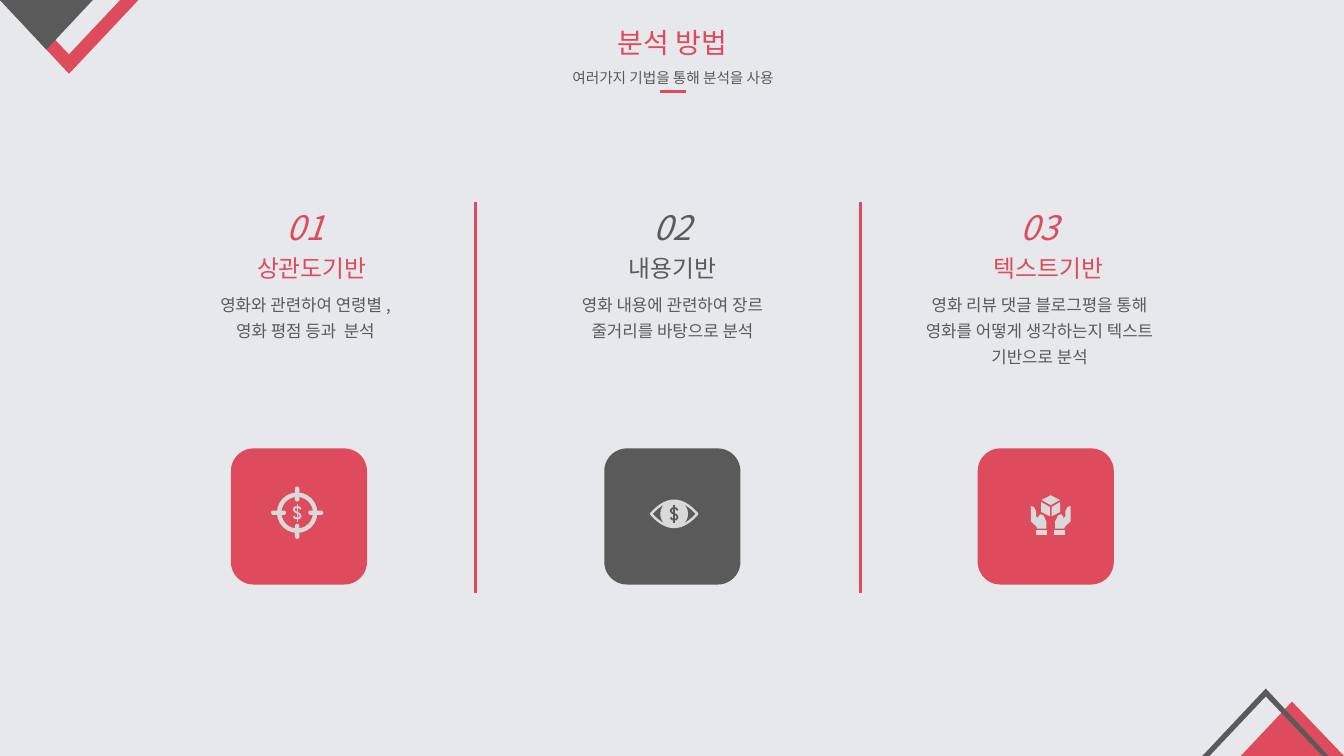
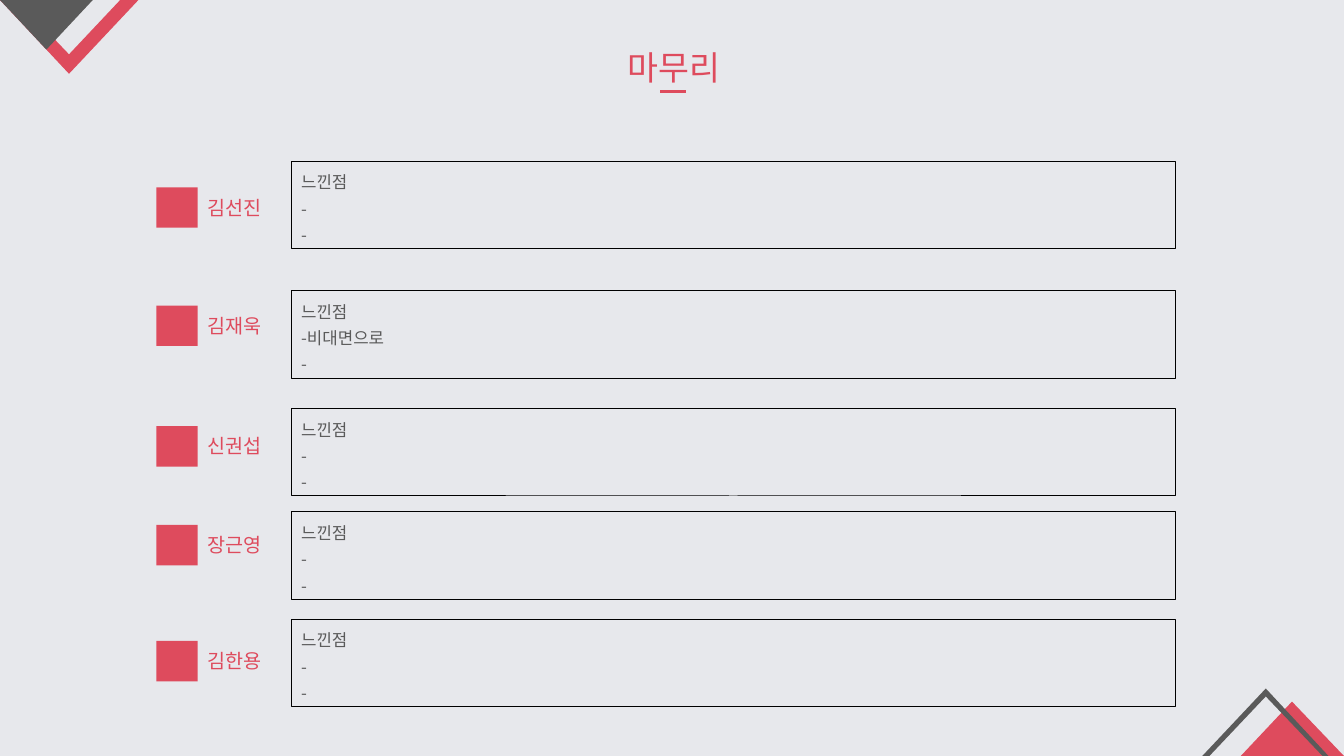
"""Builds an analysis methods slide and a closing slide in one shared style."""
from math import cos, pi, sin

from lxml.etree import SubElement
from pptx import Presentation
from pptx.dml.color import RGBColor
from pptx.enum.shapes import MSO_CONNECTOR, MSO_SHAPE
from pptx.enum.text import MSO_ANCHOR, MSO_AUTO_SIZE, PP_ALIGN
from pptx.oxml.ns import qn
from pptx.util import Cm, Pt

COLOURS = {
    "background": "E7E8EC",
    "red": "DE4B5D",
    "grey": "5A5A5A",
    "icon": "D9D9D9",
    "black": "000000",
}
FONT = "Noto Sans CJK KR"
FORMATS = {
    "title": {"size": Pt(20)},
    "closing title": {"size": Pt(24)},
    "subtitle": {"size": Pt(10.5)},
    "number": {"size": Pt(24), "italic": True},
    "heading": {"size": Pt(17)},
    "body": {"size": Pt(12)},
    "name": {"size": Pt(14)},
}
LINE_SPACING = {"subtitle": 1.3, "body": 1.3}


def add_figure(slide, geometry, kind=None, fill=None, line=None, width=0.75, adjust=None):
    """Draw a preset in a box, or a freeform through points when no kind is given."""
    if kind is None:
        points = [(Cm(x), Cm(y)) for x, y in geometry]
        builder = slide.shapes.build_freeform(*points[0])
        builder.add_line_segments(points[1:], close=fill is not None)
        shape = builder.convert_to_shape()
    else:
        shape = slide.shapes.add_shape(kind, *[Cm(value) for value in geometry])
    shape.shadow.inherit = False
    if adjust is not None:
        shape.adjustments[0] = adjust
    if fill:
        shape.fill.solid()
        shape.fill.fore_color.rgb = RGBColor.from_string(COLOURS[fill])
    else:
        shape.fill.background()
    if line:
        shape.line.color.rgb = RGBColor.from_string(COLOURS[line])
        shape.line.width = Pt(width)
    else:
        shape.line.fill.background()
    return shape


def write_text(shape, lines, style, colour, align=PP_ALIGN.CENTER):
    """Fill a shape with one paragraph per line."""
    frame = shape.text_frame
    frame.word_wrap = True
    frame.auto_size = MSO_AUTO_SIZE.SHAPE_TO_FIT_TEXT
    frame.vertical_anchor = MSO_ANCHOR.TOP
    for index, text in enumerate(lines):
        paragraph = frame.add_paragraph() if index else frame.paragraphs[0]
        paragraph.alignment = align
        paragraph.line_spacing = LINE_SPACING.get(style)
        run = paragraph.add_run()
        run.text = text
        for attribute, value in {"name": FONT, **FORMATS[style]}.items():
            setattr(run.font, attribute, value)
        run.font.color.rgb = RGBColor.from_string(COLOURS[colour])
        SubElement(run._r.get_or_add_rPr(), qn("a:ea"), typeface=FONT)


presentation = Presentation()
presentation.slide_width = Cm(33.87)
presentation.slide_height = Cm(19.05)
background = presentation.slide_master.background.fill
background.solid()
background.fore_color.rgb = RGBColor.from_string(COLOURS["background"])

CORNERS = [
    ("red", [(1.74, 1.86), (3.49, 0), (3.03, 0), (1.74, 1.37), (0.43, 0), (0, 0)]),
    ("grey", [(0, 0), (2.34, 0), (1.17, 1.25)]),
    ("red", [(32.56, 17.68), (31.27, 19.05), (33.87, 19.05)]),
    ("grey", [(33.48, 19.05), (33.33, 19.05), (31.9, 17.55),
              (30.48, 19.05), (30.3, 19.05), (31.9, 17.35)]),
]
HEADERS = [
    [("분석 방법", "title", "red", (15.21, 0.53, 3.48, 1.12)),
     ("여러가지 기법을 통해 분석을 사용", "subtitle", "grey", (12.52, 1.47, 8.89, 0.79))],
    [("마무리", "closing title", "red", (15.49, 1.07, 3, 1.27))],
]
slides = []
lines = []
for header in HEADERS:
    slide = presentation.slides.add_slide(presentation.slide_layouts[6])
    slides.append(slide)
    for colour, outline in CORNERS:
        add_figure(slide, outline, fill=colour)
    for text, style, colour, box in header:
        textbox = slide.shapes.add_textbox(*[Cm(value) for value in box])
        write_text(textbox, [text], style, colour)
    lines.append((slide, (16.64, 2.31, 17.3, 2.31), "red", 1.75))
methods_slide, closing_slide = slides

METHODS = [
    ("01", "상관도기반", 3.38, "red",
     ["영화와 관련하여 연령별 ,", "영화 평점 등과  분석"]),
    ("02", "내용기반", 3.05, "grey",
     ["영화 내용에 관련하여 장르", "줄거리를 바탕으로 분석"]),
    ("03", "텍스트기반", 3.51, "red",
     ["영화 리뷰 댓글 블로그평을 통해", "영화를 어떻게 생각하는지 텍스트 기반으로 분석"]),
]
COLUMN_STEP, BADGE_STEP = 9.25, 9.41
for index, (number, heading, heading_width, colour, description) in enumerate(METHODS):
    add_figure(methods_slide, (5.82 + BADGE_STEP * index, 11.3, 3.43, 3.43),
               MSO_SHAPE.ROUNDED_RECTANGLE, fill=colour)
    offset = COLUMN_STEP * index
    for content, style, text_colour, box in [
        ([number], "number", colour, (6.17 + offset, 5.08, 3.05, 1.27)),
        ([heading], "heading", colour, (6.17 + offset, 6.27, heading_width, 0.99)),
        (description, "body", "grey", (4.32 + offset, 7.14, 6.76, 1.55)),
    ]:
        textbox = methods_slide.shapes.add_textbox(*[Cm(value) for value in box])
        write_text(textbox, content, style, text_colour)
for x in (11.99, 21.69):
    lines.append((methods_slide, (x, 5.08, x, 14.94), "red", 2))

target_x, target_y = 7.49, 12.92
add_figure(methods_slide, (target_x - 0.51, target_y - 0.51, 1.02, 1.02),
           MSO_SHAPE.DONUT, fill="icon", adjust=0.11)
for step_x, step_y in [(0, -1), (1, 0), (0, 1), (-1, 0)]:
    bar_width, bar_height = (0.38, 0.11) if step_x else (0.11, 0.38)
    bar_left = target_x + 0.47 * step_x - bar_width / 2
    bar_top = target_y + 0.47 * step_y - bar_height / 2
    add_figure(methods_slide, (bar_left, bar_top, bar_width, bar_height),
               MSO_SHAPE.ROUNDED_RECTANGLE, fill="icon", adjust=0.5)

eye_x, eye_y = 16.99, 12.95
angles = [2 * pi * step / 48 for step in range(49)]
eyelids = [(eye_x + 0.58 * cos(angle), eye_y + 0.33 * sin(angle) * abs(sin(angle)))
           for angle in angles]
add_figure(methods_slide, eyelids, line="icon", width=1.75)
add_figure(methods_slide, (eye_x - 0.35, eye_y - 0.35, 0.7, 0.7),
           MSO_SHAPE.OVAL, fill="icon")

DOLLAR_CURVE = [(0.09, -0.09), (0.05, -0.14), (-0.05, -0.14), (-0.09, -0.09), (-0.06, -0.03),
                (0.06, 0.03), (0.09, 0.09), (0.05, 0.14), (-0.05, 0.14), (-0.09, 0.09)]
for dollar_x, dollar_y, colour in [(target_x, target_y, "icon"), (eye_x, eye_y, "grey")]:
    curve = [(dollar_x + x, dollar_y + y) for x, y in DOLLAR_CURVE]
    add_figure(methods_slide, curve, line=colour, width=1.25)
    lines.append((methods_slide, (dollar_x, dollar_y - 0.23, dollar_x, dollar_y + 0.23),
                  colour, 1))

hands_x, hands_y = 26.48, 12.92
CUBE_TOP = [(0, -0.19), (0.23, -0.32), (0, -0.44), (-0.23, -0.32)]
CUBE_SIDE = [(0.24, -0.27), (0.02, -0.14), (0.02, 0.09), (0.24, -0.02)]
HAND = [(0.5, -0.17), (0.42, -0.14), (0.37, -0.04), (0.37, 0.09), (0.29, 0.17),
        (0.32, 0.11), (0.27, 0.04), (0.19, 0.06), (0.11, 0.22), (0.11, 0.4),
        (0.34, 0.4), (0.37, 0.34), (0.5, 0.22)]
CUFF = [(0.09, 0.44), (0.37, 0.44), (0.37, 0.57), (0.09, 0.57)]
for outline, sides in [(CUBE_TOP, [1]), (CUBE_SIDE, [1, -1]), (HAND, [1, -1]), (CUFF, [1, -1])]:
    for side in sides:
        points = [(hands_x + side * x, hands_y + y) for x, y in outline]
        add_figure(methods_slide, points, fill="icon")

MEMBERS = [
    ("김선진", 4.72, 4.06, "-"),
    ("김재욱", 7.7, 7.32, "-비대면으로"),
    ("신권섭", 10.74, 10.29, "-"),
    ("장근영", 13.23, 12.9, "-"),
    ("김한용", 16.15, 15.6, "-"),
]
for name, marker_top, card_top, remark in MEMBERS:
    add_figure(closing_slide, (3.94, marker_top, 1.04, 1.02), MSO_SHAPE.RECTANGLE, fill="red")
    textbox = closing_slide.shapes.add_textbox(Cm(4.98), Cm(marker_top + 0.08), Cm(3.53), Cm(0.86))
    write_text(textbox, [name], "name", "red", PP_ALIGN.LEFT)
    card = add_figure(closing_slide, (7.34, card_top, 22.28, 2.21),
                      MSO_SHAPE.RECTANGLE, line="black")
    write_text(card, ["느낀점", remark, "-"], "body", "grey", PP_ALIGN.LEFT)

for slide, ends, colour, width in lines:
    connector = slide.shapes.add_connector(MSO_CONNECTOR.STRAIGHT, *[Cm(value) for value in ends])
    connector.line.color.rgb = RGBColor.from_string(COLOURS[colour])
    connector.line.width = Pt(width)
    SubElement(connector._element.spPr, qn("a:effectLst"))

presentation.save("out.pptx")
